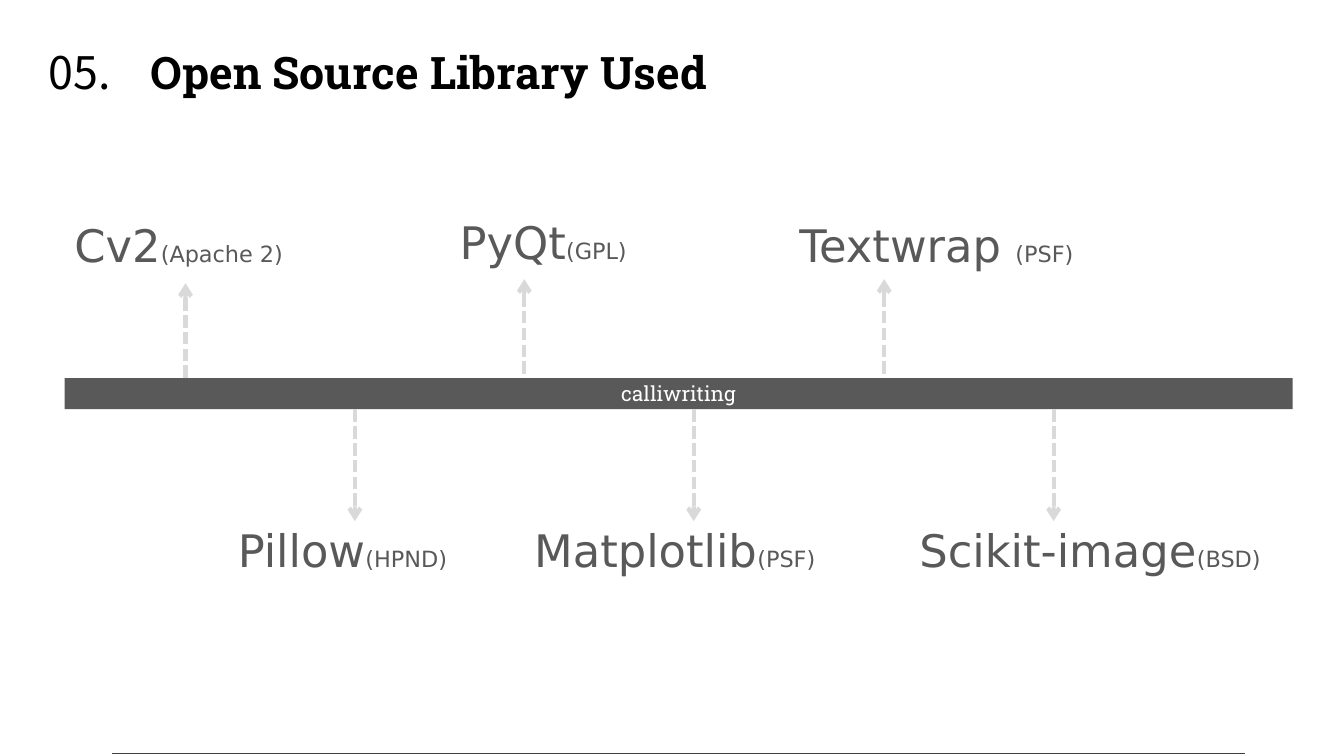
from dataclasses import dataclass

from lxml.etree import SubElement
from pptx import Presentation
from pptx.dml.color import RGBColor as RGB
from pptx.enum.dml import MSO_LINE as Dash
from pptx.enum.shapes import MSO_CONNECTOR as Conn, MSO_SHAPE as Shape
from pptx.enum.text import MSO_ANCHOR as Anchor, MSO_AUTO_SIZE as Fit, PP_ALIGN as Align
from pptx.oxml.ns import qn
from pptx.util import Inches, Pt


@dataclass(frozen=True)
class Theme:
    black: RGB = RGB(0, 0, 0)
    white: RGB = RGB(255, 255, 255)
    gray: RGB = RGB(0x59, 0x59, 0x59)
    pale: RGB = RGB(0xD9, 0xD9, 0xD9)
    rule: RGB = RGB(0x40, 0x40, 0x40)
    slab: str = "Roboto Slab"
    cjk: str = "Noto Sans CJK KR"
    sans: str = "DejaVu Sans"
    big: float = 32
    small: float = 16
    bar: float = 14.7


THEME = Theme()
BAR_TOP, BAR_HIGH = 3.75, 0.31

# name, license, label left, top and width, arrow x, start and end
BASE = BAR_TOP + BAR_HIGH
LIBS = [
    ("Cv2", "(Apache 2)", 0.64, 2.11, 5.94, 1.84, BAR_TOP, 2.81),
    ("PyQt", "(GPL)", 4.46, 2.08, 2.25, 5.2, 3.71, 2.77),
    ("Textwrap ", "(PSF)", 7.83, 2.11, 3.27, 8.77, 3.71, 2.77),
    ("Pillow", "(HPND)", 2.26, 5.14, 2.48, 3.52, BASE, 5.17),
    ("Matplotlib", "(PSF)", 5.2, 5.14, 3.03, 6.88, BASE, 5.17),
    ("Scikit-image", "(BSD)", 9.02, 5.14, 3.63, 10.45, BASE, 5.17),
]


def style(font, name, size, color, bold=False):
    font.name, font.size, font.bold = name, Pt(size), bold
    font.color.rgb = color


def add_box(slide, left, top, width):
    """Add an empty one-line text box and return its paragraph."""
    box = slide.shapes.add_textbox(Inches(left), Inches(top), Inches(width), Inches(0.64))
    frame = box.text_frame
    frame.word_wrap = True
    frame.auto_size = Fit.SHAPE_TO_FIT_TEXT
    return frame.paragraphs[0]


def add_head(slide, text, left, width, name, bold=False):
    para = add_box(slide, left, 0.39, width)
    para.text = text
    para.alignment = Align.CENTER
    style(para.font, name, THEME.big, THEME.black, bold)


def add_label(slide, name, terms, left, top, width):
    para = add_box(slide, left, top, width)
    for text, size in ((name, THEME.big), (terms, THEME.small)):
        run = para.add_run()
        run.text = text
        style(run.font, THEME.sans, size, THEME.gray)


def add_line(slide, start, end, color, width):
    ends = [Inches(v) for v in (*start, *end)]
    line = slide.shapes.add_connector(Conn.STRAIGHT, *ends)
    line.line.color.rgb = color
    line.line.width = Pt(width)
    SubElement(line._element.spPr, qn("a:effectLst"))
    return line


def add_arrow(slide, x, start, end):
    line = add_line(slide, (x, start), (x, end), THEME.pale, 3).line
    line.dash_style = Dash.SQUARE_DOT
    # In DrawingML, sysDash is the short dash and sysDot the square dot.
    ln = line._get_or_add_ln()
    ln.find(qn("a:prstDash")).set("val", "sysDash")
    SubElement(ln, qn("a:tailEnd"), type="arrow")


def add_bar(slide, text):
    bar = slide.shapes.add_shape(
        Shape.RECTANGLE, Inches(0.64), Inches(BAR_TOP), Inches(12.18), Inches(BAR_HIGH)
    )
    bar.shadow.inherit = False
    bar.fill.solid()
    bar.fill.fore_color.rgb = THEME.gray
    bar.line.fill.background()
    bar.text_frame.vertical_anchor = Anchor.MIDDLE
    para = bar.text_frame.paragraphs[0]
    para.text = text
    para.alignment = Align.CENTER
    style(para.font, THEME.slab, THEME.bar, THEME.white)


def main():
    deck = Presentation()
    deck.slide_width, deck.slide_height = Inches(13.33), Inches(7.5)
    slide = deck.slides.add_slide(deck.slide_layouts[6])

    add_head(slide, "Open Source Library Used", 1, 6.51, THEME.slab, bold=True)
    add_head(slide, "05.", 0.37, 0.84, THEME.cjk)
    add_line(slide, (1.11, 7.48), (12.35, 7.48), THEME.rule, 0.75)
    add_bar(slide, "calliwriting")
    for name, terms, left, top, width, x, start, end in LIBS:
        add_arrow(slide, x, start, end)
        add_label(slide, name, terms, left, top, width)

    deck.save("out.pptx")


if __name__ == "__main__":
    main()
